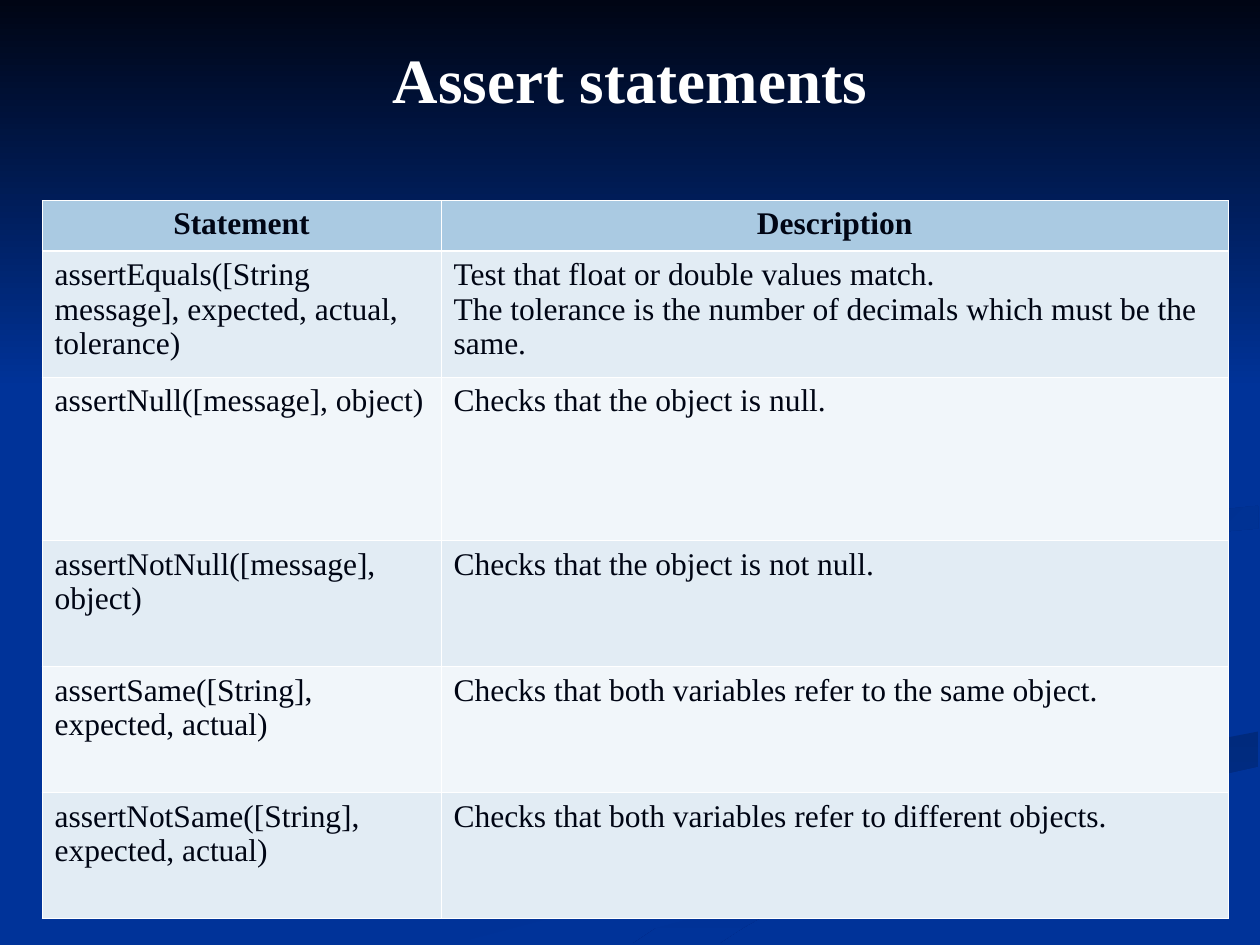
"""Build the slide on assert statements: a swirl backdrop, a title and a table."""
import math

import lxml.etree
import pptx
import pptx.dml.color
import pptx.enum.text
import pptx.oxml.ns
import pptx.util

Pt = pptx.util.Pt
RGBColor = pptx.dml.color.RGBColor
PP_ALIGN = pptx.enum.text.PP_ALIGN
MSO_ANCHOR = pptx.enum.text.MSO_ANCHOR
qn = pptx.oxml.ns.qn

BLUE = RGBColor(0x00, 0x33, 0x99)
NIGHT = RGBColor(0x00, 0x05, 0x14)
SHADE_STREAM = RGBColor(0x00, 0x2E, 0x8B)
SHADE_BANK = RGBColor(0x00, 0x2A, 0x7D)
SHADE_INLET = RGBColor(0x00, 0x2D, 0x86)
SHADE_SPRING = RGBColor(0x00, 0x2B, 0x82)
WHITE = RGBColor(0xFF, 0xFF, 0xFF)
HEADER_FILL = RGBColor(0xAA, 0xCA, 0xE2)
ODD_FILL = RGBColor(0xE2, 0xEC, 0xF4)
EVEN_FILL = RGBColor(0xF1, 0xF6, 0xFA)

SLIDE_WIDTH, SLIDE_HEIGHT = 720, 540
SKY_HEIGHT = 222
TITLE_HEIGHT = 90
TABLE_LEFT, TABLE_TOP = 24, 114.5
COLUMN_WIDTHS = [228, 450]
ROW_HEIGHTS = [28.8, 72, 93.6, 72, 72, 72]
THIN, THICK = 0.45, 1.47
CURVE_STEPS = 16


def write_text(frame, text, size=18, color=NIGHT, bold=False, align=PP_ALIGN.LEFT):
    frame.word_wrap = True
    frame.text = text
    for paragraph in frame.paragraphs:
        paragraph.alignment = align
        font = paragraph.runs[0].font
        font.name = "Times New Roman"
        font.size = Pt(size)
        font.bold = bold
        font.color.rgb = color


def bezier(controls):
    degree = len(controls) - 1
    curve = []
    for step in range(CURVE_STEPS + 1):
        t = step / CURVE_STEPS
        weights = [math.comb(degree, k) * t**k * (1 - t) ** (degree - k)
                   for k in range(degree + 1)]
        curve.append(tuple(Pt(sum(w * value for w, value in zip(weights, axis)))
                           for axis in zip(*controls)))
    return curve


deck = pptx.Presentation()
deck.slide_width, deck.slide_height = Pt(SLIDE_WIDTH), Pt(SLIDE_HEIGHT)
slide = deck.slides.add_slide(deck.slide_layouts[6])
slide.background.fill.solid()
slide.background.fill.fore_color.rgb = BLUE

stream = ([(414, 331), (400, 372), (875, 380), (216, 539)],
          [(414, 331), (400, 372), (896, 380), (260, 539)])
bend = ([(521, 334), (520, 385), (740, 380), (644, 436)],
        [(521, 334), (520, 385), (785, 380), (644, 436)])
bank = ([(362, 539), (430, 490), (600, 440), (719, 418)],
        [(411, 539), (480, 490), (620, 460), (719, 438)])
river = ([(522, 334), (520, 390), (977, 373), (343, 539)],
         [(719, 279), (500, 320), (500, 360), (719, 387)])
inlet = ([(719, 289), (600, 300), (512, 330), (595, 356)],
         [(719, 302), (600, 312), (553, 335), (595, 356)])
spring = ([(549, 168), (888, 268), (228, 285), (448, 360)],
          [(549, 168), (870, 268), (250, 285), (448, 360)])
sky = ([(0, 0), (SLIDE_WIDTH, 0)],
       [(0, SKY_HEIGHT), (SLIDE_WIDTH, SKY_HEIGHT)])

backdrop = [
    (stream, BLUE, SHADE_STREAM, 0),
    (bend, BLUE, SHADE_STREAM, 45),
    (bank, SHADE_BANK, BLUE, 90),
    (river, BLUE, BLUE, 0),
    (inlet, SHADE_INLET, BLUE, 45),
    (spring, SHADE_SPRING, BLUE, 45),
    (sky, NIGHT, BLUE, 90),
]
for (near_edge, far_edge), start_color, end_color, angle in backdrop:
    outline = bezier(near_edge) + bezier(far_edge)[::-1]
    builder = slide.shapes.build_freeform(*outline[0])
    builder.add_line_segments(outline[1:], close=True)
    band = builder.convert_to_shape()
    band.shadow.inherit = False
    band.line.fill.background()
    if start_color == end_color:
        band.fill.solid()
        band.fill.fore_color.rgb = start_color
    else:
        band.fill.gradient()
        band.fill.gradient_angle = -angle % 360
        for stop, color in zip(band.fill.gradient_stops, (start_color, end_color)):
            stop.color.rgb = color

title = slide.shapes.add_textbox(Pt(0), Pt(0), Pt(SLIDE_WIDTH), Pt(TITLE_HEIGHT)).text_frame
title.vertical_anchor = MSO_ANCHOR.MIDDLE
write_text(title, "Assert statements", size=36, color=WHITE, bold=True, align=PP_ALIGN.CENTER)

statements = [
    ("Statement", "Description"),
    ("assertEquals([String message], expected, actual, tolerance)",
     "Test that float or double values match.\n"
     "The tolerance is the number of decimals which must be the same."),
    ("assertNull([message], object)", "Checks that the object is null."),
    ("assertNotNull([message], object)", "Checks that the object is not null."),
    ("assertSame([String], expected, actual)",
     "Checks that both variables refer to the same object."),
    ("assertNotSame([String], expected, actual)",
     "Checks that both variables refer to different objects."),
]
table = slide.shapes.add_table(
    len(statements), len(COLUMN_WIDTHS), Pt(TABLE_LEFT), Pt(TABLE_TOP),
    Pt(sum(COLUMN_WIDTHS)), Pt(sum(ROW_HEIGHTS)),
).table
table.horz_banding = False
for column, width in zip(table.columns, COLUMN_WIDTHS):
    column.width = Pt(width)

for index, (row, texts, height) in enumerate(zip(table.rows, statements, ROW_HEIGHTS)):
    row.height = Pt(height)
    is_header = index == 0
    body_fill = ODD_FILL if index % 2 else EVEN_FILL
    borders = {
        "a:lnL": THIN,
        "a:lnR": THIN,
        "a:lnT": THICK if index == 1 else THIN,
        "a:lnB": THICK if is_header else THIN,
    }
    for cell, text in zip(row.cells, texts):
        write_text(cell.text_frame, text, bold=is_header,
                   align=PP_ALIGN.CENTER if is_header else PP_ALIGN.LEFT)
        properties = cell._tc.get_or_add_tcPr()
        for side, width in borders.items():
            border = lxml.etree.SubElement(properties, qn(side), w=str(Pt(width)))
            border_fill = lxml.etree.SubElement(border, qn("a:solidFill"))
            lxml.etree.SubElement(border_fill, qn("a:srgbClr"), val=str(WHITE))
        cell.fill.solid()
        cell.fill.fore_color.rgb = HEADER_FILL if is_header else body_fill

deck.save("out.pptx")
